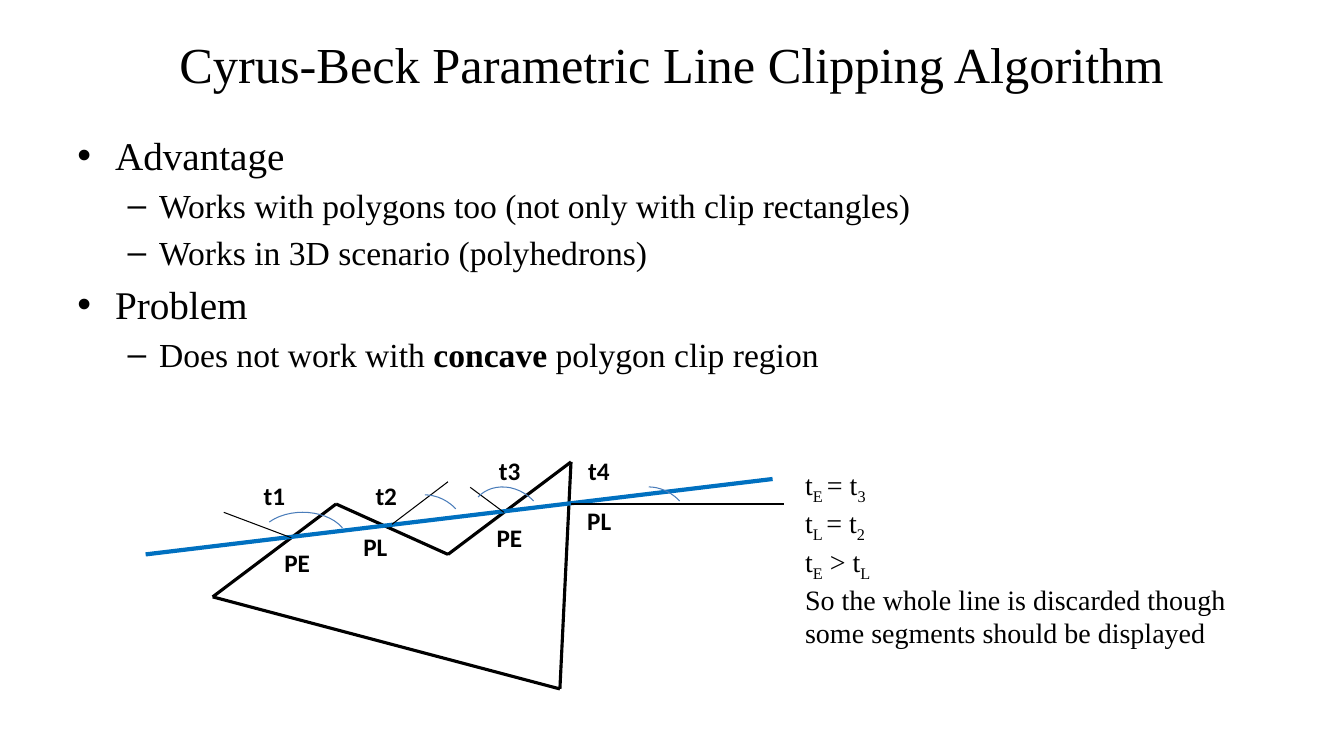
import pptx
import pptx.dml.color
import pptx.enum.shapes
import pptx.enum.text
import pptx.oxml.ns
import pptx.util
from lxml import etree

Cm = pptx.util.Cm
Pt = pptx.util.Pt
RGBColor = pptx.dml.color.RGBColor
PP_ALIGN = pptx.enum.text.PP_ALIGN
ANCHOR = pptx.enum.text.MSO_ANCHOR

BLACK = RGBColor(0x00, 0x00, 0x00)
BLUE = RGBColor(0x00, 0x70, 0xC0)
ARC_BLUE = RGBColor(0x4A, 0x7D, 0xBA)

SERIF = "Times New Roman"
SANS = "Calibri"

# Bullet levels: character, left margin, hanging indent, size, space before
LEVELS = [
    ("•", Cm(0.95), Cm(0.95), 28, 5.6),
    ("–", Cm(2.06), Cm(0.79), 24, 4.8),
]

# Each paragraph is a list of (text, style), style being "", "bold" or "sub"
BODY = [
    (0, [("Advantage", "")]),
    (1, [("Works with polygons too (not only with clip rectangles)", "")]),
    (1, [("Works in 3D scenario (polyhedrons)", "")]),
    (0, [("Problem", "")]),
    (1, [("Does not work with ", ""), ("concave", "bold"),
         (" polygon clip region", "")]),
]
CONCLUSION = [
    [("t", ""), ("E ", "sub"), ("= t", ""), ("3", "sub")],
    [("t", ""), ("L ", "sub"), ("= t", ""), ("2", "sub")],
    [("t", ""), ("E", "sub"), (" > t", ""), ("L", "sub")],
    [("So the whole line is discarded though some segments "
      "should be displayed", "")],
]

# Diagram geometry in centimetres
POLYGON = [(5.36, 15.04), (8.47, 12.7), (11.29, 13.97),
           (14.39, 11.64), (14.11, 17.36)]
CLIPPED_LINE = ((3.67, 13.97), (19.47, 12.07))
NORMALS = [
    ((7.34, 13.55), (5.64, 12.91)),
    ((9.88, 13.21), (11.29, 12.14)),
    ((12.7, 12.91), (11.85, 12.28)),
    ((14.39, 12.7), (19.76, 12.7)),
]
# Box, rotation, start and end adjustments
ARCS = [
    ((6.5, 12.91, 2.26, 1.48), 0, 126.22, 204.77),
    ((9.83, 12.52, 1.98, 1.74), 38.8, 134.57, 168.55),
    ((11.79, 12.32, 1.98, 1.74), 38.8, 110.08, 168.55),
    ((15.47, 12.32, 1.98, 1.74), 38.8, 134.57, 168.55),
]
LABELS = [
    ("PE", 6.5, 13.76, 1.98), ("PL", 8.47, 13.34, 1.98),
    ("PE", 11.85, 13.12, 1.98), ("PL", 14.11, 12.7, 1.98),
    ("t1", 6.21, 12.07, 1.41), ("t2", 9.03, 12.07, 1.41),
    ("t3", 12.14, 11.43, 1.41), ("t4", 14.39, 11.43, 1.41),
]
LABEL_HEIGHT = 0.85


def add_run(p, text, font=SERIF, size=20, bold=False, sub=False):
    r = p.add_run()
    r.text = text
    r.font.name = font
    r.font.size = Pt(size)
    r.font.bold = bold
    r.font.color.rgb = BLACK
    if sub:
        r.font._element.set("baseline", "-25000")


def add_bullet(p, level):
    char, margin, hanging, _, space = LEVELS[level]
    p.level = level
    p.space_before = Pt(space)
    pPr = p._p.get_or_add_pPr()
    pPr.set("marL", str(margin))
    pPr.set("indent", str(-hanging))
    font = etree.SubElement(pPr, pptx.oxml.ns.qn("a:buFont"))
    font.set("typeface", "Arial")
    bullet = etree.SubElement(pPr, pptx.oxml.ns.qn("a:buChar"))
    bullet.set("char", char)


def add_text(s, box, paragraphs, levels=None, size=20, font=SERIF, bold=False,
             align=PP_ALIGN.LEFT, anchor=ANCHOR.MIDDLE):
    tf = s.shapes.add_textbox(*map(Cm, box)).text_frame
    tf.word_wrap = True
    tf.vertical_anchor = anchor
    for i, runs in enumerate(paragraphs):
        p = tf.add_paragraph() if i else tf.paragraphs[0]
        p.alignment = align
        if levels:
            add_bullet(p, levels[i])
            size = LEVELS[levels[i]][3]
        for text, style in runs:
            add_run(p, text, font=font, size=size,
                    bold=bold or style == "bold", sub=style == "sub")


def add_line(s, start, end, color=BLACK, width=0.75):
    line = s.shapes.add_connector(
        pptx.enum.shapes.MSO_CONNECTOR.STRAIGHT, *map(Cm, start + end))
    line.line.color.rgb = color
    line.line.width = Pt(width)
    etree.SubElement(line._element.spPr, pptx.oxml.ns.qn("a:effectLst"))


def add_arc(s, box, rotation, start, end):
    sp = s.shapes.add_shape(pptx.enum.shapes.MSO_SHAPE.ARC, *map(Cm, box))
    sp.adjustments[0] = start
    sp.adjustments[1] = end
    sp.rotation = rotation
    sp.shadow.inherit = False
    sp.fill.background()
    sp.line.color.rgb = ARC_BLUE
    sp.line.width = Pt(0.75)


def main():
    prs = pptx.Presentation()
    prs.slide_width = Cm(33.87)
    prs.slide_height = Cm(19.05)
    s = prs.slides.add_slide(prs.slide_layouts[6])

    # Title and bullets
    add_text(s, (0, 0, 33.87, 3.18),
             [[("Cyrus-Beck Parametric Line Clipping Algorithm", "")]],
             size=36, align=PP_ALIGN.CENTER)
    add_text(s, (1.7, 3.18, 30.48, 12.57), [runs for _, runs in BODY],
             levels=[level for level, _ in BODY], anchor=ANCHOR.TOP)

    # Concave polygon, clipped line and edge normals
    for start, end in zip(POLYGON, POLYGON[1:] + POLYGON[:1]):
        add_line(s, start, end, width=2.25)
    add_line(s, *CLIPPED_LINE, color=BLUE, width=3)
    for start, end in NORMALS:
        add_line(s, start, end)

    # Angles between the line and the normals
    for arc in ARCS:
        add_arc(s, *arc)

    # Intersection labels
    for text, left, top, width in LABELS:
        add_text(s, (left, top, width, LABEL_HEIGHT), [[(text, "")]],
                 size=18, font=SANS, bold=True, align=PP_ALIGN.CENTER)

    # Conclusion
    add_text(s, (20.04, 10.58, 12.14, 6.99), CONCLUSION)

    prs.save("out.pptx")


if __name__ == "__main__":
    main()
